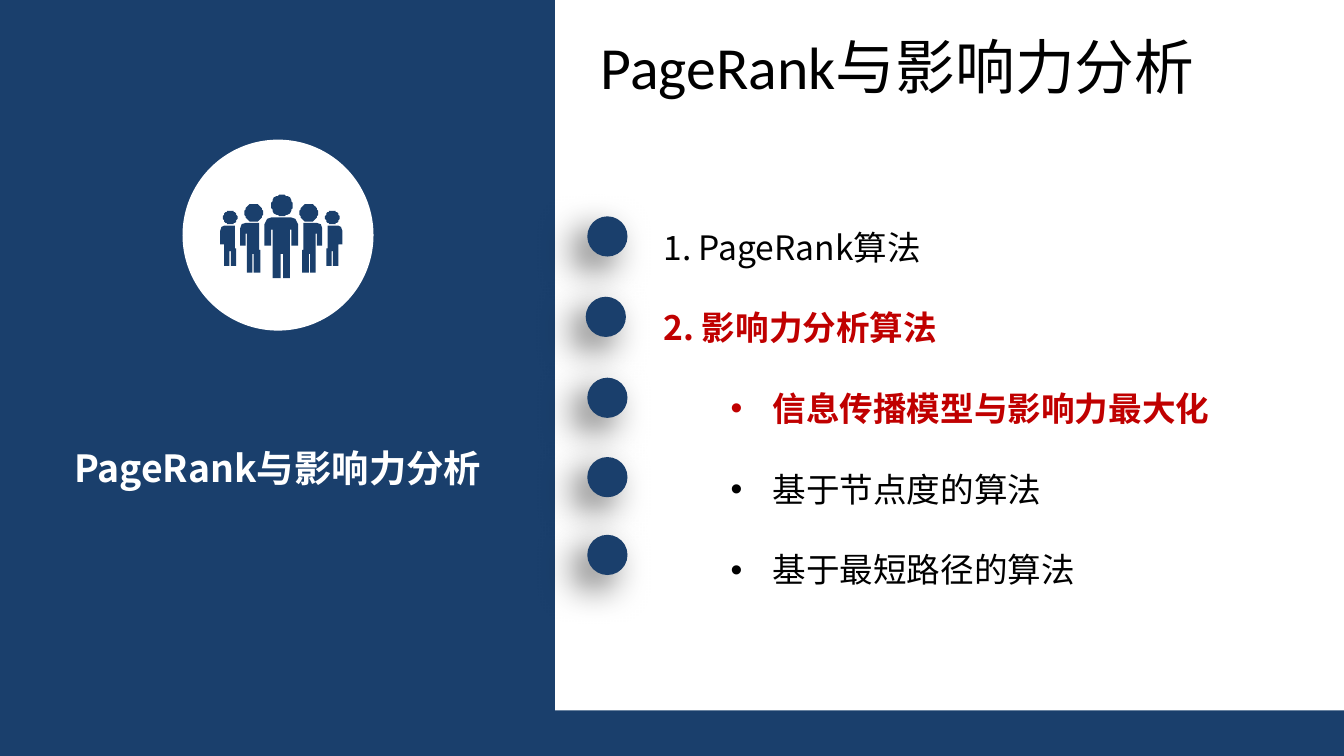
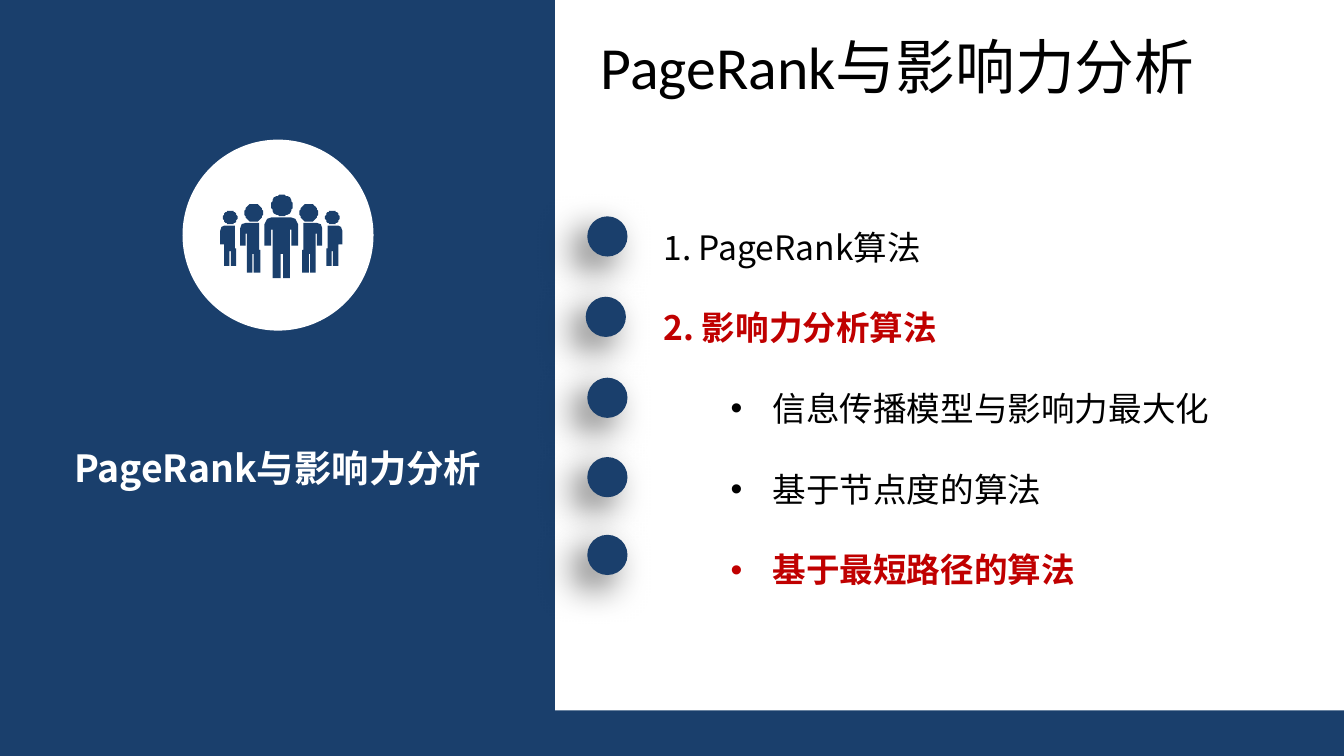
import math
from dataclasses import dataclass

import pptx
import pptx.dml.color
import pptx.enum.shapes
import pptx.enum.text
import pptx.oxml
import pptx.oxml.ns
import pptx.util
from lxml import etree

Cm = pptx.util.Cm
qn = pptx.oxml.ns.qn
OVAL = pptx.enum.shapes.MSO_SHAPE.OVAL
RECTANGLE = pptx.enum.shapes.MSO_SHAPE.RECTANGLE
ALIGN = pptx.enum.text.PP_ALIGN


@dataclass(frozen=True)
class Theme:
    navy: str = "1A3F6C"
    white: str = "FFFFFF"
    black: str = "000000"
    highlight: str = "C00000"
    latin: str = "Calibri"
    cjk: str = "Noto Sans CJK SC"
    title_size: int = 32
    label_size: int = 20
    topic_size: int = 18


TOPIC = "PageRank", "与影响力分析"
OUTLINE = [
    ("1. PageRank算法", 0),
    ("2. 影响力分析算法", 0),
    ("信息传播模型与影响力最大化", 1),
    ("基于节点度的算法", 1),
    ("基于最短路径的算法", 1),
]
HIGHLIGHTED_TOPICS = [{1, 2}, {1, 4}]
MARKERS = [(11.1, 4.09), (11.07, 5.61), (11.1, 7.14), (11.1, 8.64), (11.1, 10.11)]

# People icon, in hundredths of an inch from its top left corner
ICON_UNIT = Cm(2.54) / 100
ICON_WIDTH = 91
SIDE_BODIES = [
    [(12, 40), (12, 53), (8, 53), (8, 42), (7, 42), (7, 53), (3, 53), (3, 37),
     (0, 37), (0, 27), (1, 24), (3, 23), (11, 23), (11, 40)],
    [(30, 41), (30, 58), (25, 58), (25, 44), (24, 44), (24, 58), (20, 58), (20, 29),
     (19, 29), (19, 38), (15, 38), (15, 25), (16, 22), (19, 21), (29, 21), (29, 41)],
]
CENTRE_BODY = [
    (53, 38), (53, 26), (52, 26), (52, 62), (47, 62), (47, 44), (45, 44), (45, 62),
    (39, 62), (39, 26), (38, 26), (38, 38), (33, 38), (33, 22), (35, 18), (38, 17),
    (53, 17), (56, 18), (58, 22), (58, 38)]
SIDE_HEADS = [(7.5, 17, 5.25), (25, 13.5, 6.75)]
CENTRE_HEAD = (46, 8, 8)


def head_outline(x, y, radius, steps=32):
    angles = [2 * math.pi * step / steps for step in range(steps)]
    return [(x + radius * math.cos(a), y + radius * math.sin(a)) for a in angles]


def people_outlines():
    left = SIDE_BODIES + [head_outline(*head) for head in SIDE_HEADS]
    right = [[(ICON_WIDTH - x, y) for x, y in outline] for outline in left]
    return left + right + [CENTRE_BODY, head_outline(*CENTRE_HEAD)]


class Deck:
    def __init__(self, theme):
        self.theme = theme
        self.presentation = pptx.Presentation()
        self.presentation.slide_width = Cm(25.4)
        self.presentation.slide_height = Cm(14.29)
        self.slide = None

    def new_slide(self):
        layout = self.presentation.slide_layouts[6]
        self.slide = self.presentation.slides.add_slide(layout)

    def paint(self, shape, colour):
        shape.shadow.inherit = False
        shape.fill.solid()
        shape.fill.fore_color.rgb = pptx.dml.color.RGBColor.from_string(colour)
        shape.line.fill.background()
        return shape

    def shape(self, kind, box, colour, group=None):
        shapes = (group or self.slide).shapes
        return self.paint(shapes.add_shape(kind, *map(Cm, box)), colour)

    def marker(self, x, y):
        dot = self.shape(OVAL, (x, y, 0.76, 0.76), self.theme.navy)
        effects = dot._element.spPr.find(qn("a:effectLst"))
        shadow = etree.SubElement(
            effects, qn("a:outerShdw"), blurRad=str(pptx.util.Pt(20)),
            dist=str(pptx.util.Pt(10)), dir=str(135 * 60000), algn="tr", rotWithShape="0")
        colour = etree.SubElement(shadow, qn("a:srgbClr"), val=self.theme.black)
        etree.SubElement(colour, qn("a:alpha"), val="60000")

    def people_badge(self):
        badge = self.slide.shapes.add_group_shape()
        self.shape(OVAL, (3.45, 2.64, 3.61, 3.61), self.theme.white, badge)
        first, *others = people_outlines()
        builder = badge.shapes.build_freeform(*first[0], scale=ICON_UNIT)
        builder.add_line_segments(first[1:])
        for outline in others:
            builder.move_to(*outline[0])
            builder.add_line_segments(outline[1:])
        self.paint(builder.convert_to_shape(Cm(4.16), Cm(3.68)), self.theme.navy)

    def text_box(self, box):
        frame = self.slide.shapes.add_textbox(*map(Cm, box)).text_frame
        frame.word_wrap = True
        frame.auto_size = pptx.enum.text.MSO_AUTO_SIZE.SHAPE_TO_FIT_TEXT
        return frame

    def style(self, paragraph, size, colour, bold=False):
        font = paragraph.font
        font.size = pptx.util.Pt(size)
        font.bold = bold
        font.color.rgb = pptx.dml.color.RGBColor.from_string(colour)
        font.name = self.theme.cjk
        defaults = paragraph._p.pPr.find(qn("a:defRPr"))
        etree.SubElement(defaults, qn("a:ea"), typeface=self.theme.cjk)

    def title(self, latin_part, cjk_part):
        paragraph = self.text_box((11.1, 0.43, 11.84, 1.63)).paragraphs[0]
        self.style(paragraph, self.theme.title_size, self.theme.black)
        for text, font in (latin_part, self.theme.latin), (cjk_part, self.theme.cjk):
            run = paragraph.add_run()
            run.text = text
            run.font.name = font

    def side_label(self, text):
        frame = self.text_box((1.3, 8.41, 7.9, 0.86))
        frame.margin_left = frame.margin_right = 0
        frame.margin_top = frame.margin_bottom = 0
        paragraph = frame.paragraphs[0]
        paragraph.text = text
        paragraph.alignment = ALIGN.CENTER
        self.style(paragraph, self.theme.label_size, self.theme.white, bold=True)

    def bullet(self, paragraph):
        properties = paragraph._p.get_or_add_pPr()
        properties.set("marL", str(Cm(2.06)))
        properties.set("indent", str(Cm(-0.79)))
        etree.SubElement(properties, qn("a:buFont"), typeface="Arial")
        etree.SubElement(properties, qn("a:buChar"), char="•")

    def outline(self, topics, highlighted):
        frame = self.text_box((12.29, 3.4, 12.83, 7.95))
        for index, (text, level) in enumerate(topics):
            paragraph = frame.add_paragraph() if index else frame.paragraphs[0]
            paragraph.text = text
            paragraph.level = level
            paragraph.line_spacing = 2.0
            if level:
                self.bullet(paragraph)
            active = index in highlighted
            colour = self.theme.highlight if active else self.theme.black
            self.style(paragraph, self.theme.topic_size, colour, active)

    def agenda(self, highlighted):
        self.new_slide()
        self.shape(RECTANGLE, (0, 13.43, 25.4, 0.86), self.theme.navy)
        self.shape(RECTANGLE, (0, 0, 10.49, 14.29), self.theme.navy)
        self.title(*TOPIC)
        self.side_label("".join(TOPIC))
        self.people_badge()
        self.outline(OUTLINE, highlighted)
        for position in MARKERS:
            self.marker(*position)


def main():
    deck = Deck(Theme())
    for highlighted in HIGHLIGHTED_TOPICS:
        deck.agenda(highlighted)
    deck.presentation.save("out.pptx")


if __name__ == "__main__":
    main()
